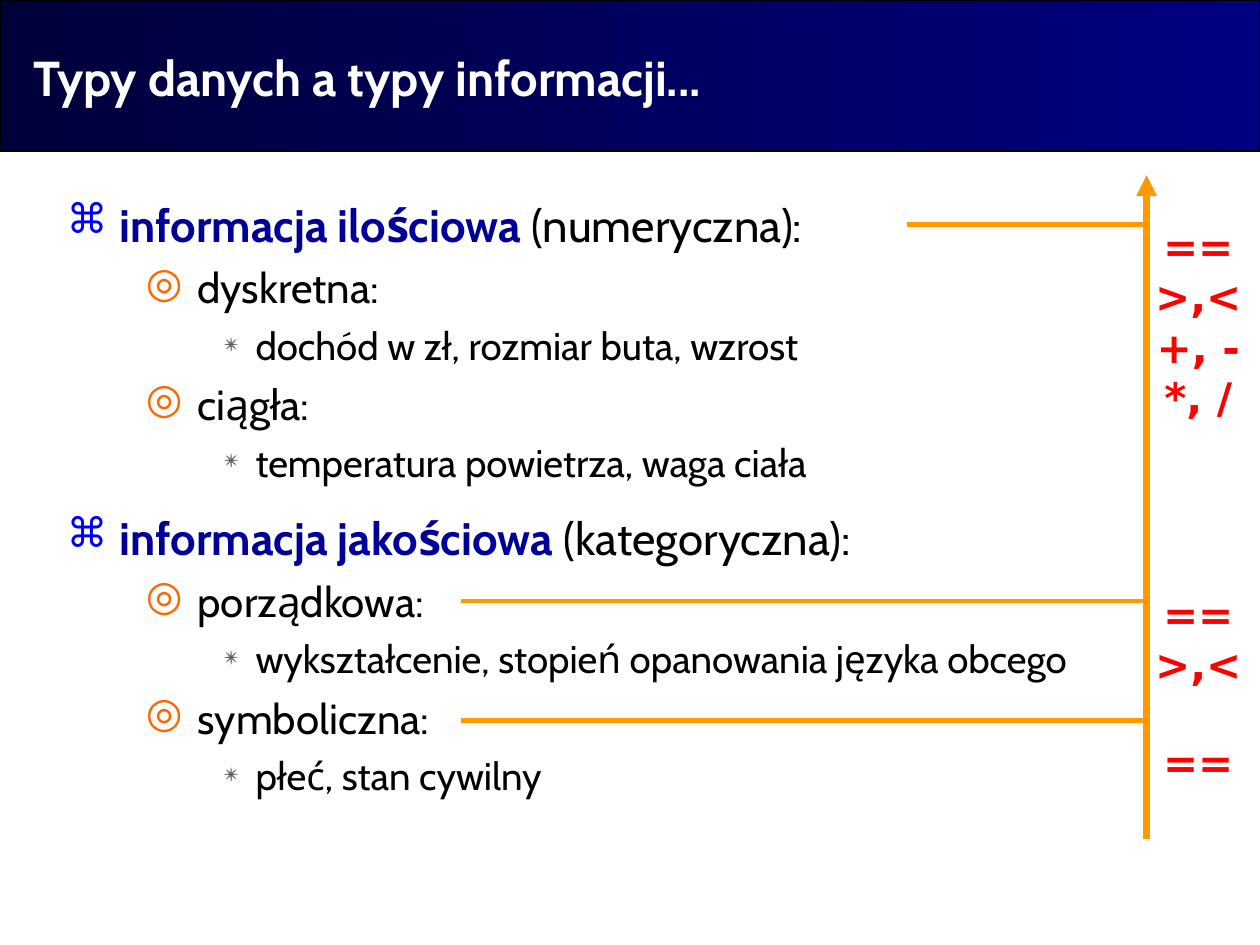
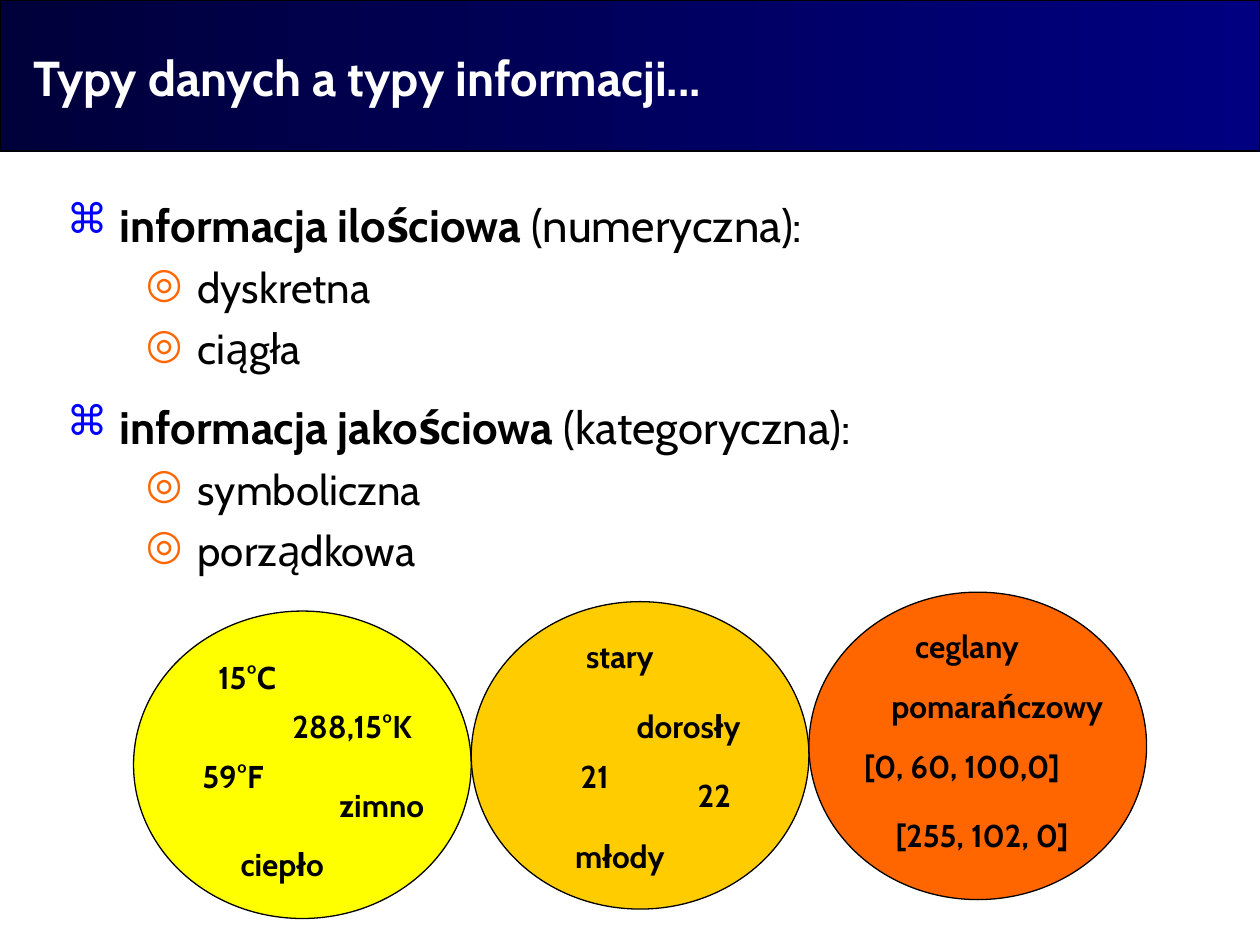
from dataclasses import dataclass

from lxml.etree import SubElement
from pptx import Presentation
from pptx.dml.color import RGBColor
from pptx.enum.shapes import MSO_CONNECTOR, MSO_SHAPE
from pptx.enum.text import MSO_ANCHOR, MSO_AUTO_SIZE, PP_ALIGN
from pptx.oxml.ns import qn
from pptx.util import Inches, Pt

COLUMNS, ROWS = 100, 75
TITLE = "Typy danych a typy informacji..."


@dataclass(frozen=True)
class Level:
    size: int
    left: float
    hanging: float
    before: float
    spacing: float
    bullet: str
    bullet_color: str
    bullet_percent: int


@dataclass(frozen=True)
class Theme:
    font: str = "Cabin"
    operator_font: str = "DejaVu Sans"
    white: str = "FFFFFF"
    black: str = "000000"
    band_start: str = "00003B"
    band_end: str = "000080"
    emphasis: str = "000099"
    axis: str = "FF9900"
    operator: str = "FF0000"
    yellow: str = "FFFF00"
    amber: str = "FFCC00"
    orange: str = "FF6600"
    title_size: int = 28
    operator_size: int = 24
    label_size: int = 18
    outline_width: float = 0.75
    axis_width: float = 4
    branch_width: float = 2.75
    levels: tuple = (
        Level(26, 4.2, 4.2, 11.4, 1.1, "⌘", "0000FF", 90),
        Level(24, 10.4, 4.1, 6, 1, "◎", "FF6600", 100),
        Level(22, 15, 2.5, 5.5, 1, "✴", "5F5F5F", 65),
    )


class Deck:
    def __init__(self, theme):
        self.theme = theme
        self.presentation = Presentation()
        self.presentation.slide_width = Inches(10)
        self.presentation.slide_height = Inches(7.5)
        self.slide = None

    def x(self, columns):
        return round(self.presentation.slide_width * columns / COLUMNS)

    def y(self, rows):
        return round(self.presentation.slide_height * rows / ROWS)

    def box(self, left, top, width, height):
        return self.x(left), self.y(top), self.x(width), self.y(height)

    def new_slide(self, title):
        self.slide = self.presentation.slides.add_slide(self.presentation.slide_layouts[6])
        band = self.shape(MSO_SHAPE.RECTANGLE, 0, 0, COLUMNS, 12)
        band.fill.gradient()
        band.fill.gradient_angle = 0
        ends = (self.theme.band_start, self.theme.band_end)
        for stop, color in zip(band.fill.gradient_stops, ends):
            stop.color.rgb = RGBColor.from_string(color)
        heading = self.text(title, 1.7, 3.2, 81.7, 5.7, self.theme.title_size,
                            self.theme.white, align=PP_ALIGN.LEFT)
        heading.vertical_anchor = MSO_ANCHOR.BOTTOM

    def shape(self, preset, left, top, width, height):
        shape = self.slide.shapes.add_shape(preset, *self.box(left, top, width, height))
        shape.shadow.inherit = False
        shape.line.color.rgb = RGBColor.from_string(self.theme.black)
        shape.line.width = Pt(self.theme.outline_width)
        return shape

    def circle(self, left, top, color):
        circle = self.shape(MSO_SHAPE.OVAL, left, top, 26.8, 24.4)
        circle.fill.solid()
        circle.fill.fore_color.rgb = RGBColor.from_string(color)

    def frame(self, left, top, width, height):
        frame = self.slide.shapes.add_textbox(*self.box(left, top, width, height)).text_frame
        frame.word_wrap = True
        return frame

    def style(self, run, size, color, bold, font=None):
        run.font.name = font or self.theme.font
        run.font.size = Pt(size)
        run.font.bold = bold
        run.font.color.rgb = RGBColor.from_string(color)

    def text(self, content, left, top, width, height, size, color,
             font=None, align=PP_ALIGN.CENTER):
        frame = self.frame(left, top, width, height)
        frame.auto_size = MSO_AUTO_SIZE.SHAPE_TO_FIT_TEXT
        frame.text = content
        for paragraph in frame.paragraphs:
            paragraph.alignment = align
            for run in paragraph.runs:
                self.style(run, size, color, True, font)
        return frame

    def label(self, content, left, top, width):
        self.text(content, left, top, width, 4, self.theme.label_size, self.theme.black)

    def operators(self, content, top, height):
        self.text(content, 90.2, top, 9.8, height, self.theme.operator_size,
                  self.theme.operator, self.theme.operator_font)

    def bullet(self, paragraph, level):
        properties = paragraph._p.get_or_add_pPr()
        properties.set("marL", str(self.x(level.left)))
        properties.set("indent", str(-self.x(level.hanging)))
        color = SubElement(properties, qn("a:buClr"))
        SubElement(color, qn("a:srgbClr"), val=level.bullet_color)
        SubElement(properties, qn("a:buSzPct"), val=str(level.bullet_percent * 1000))
        SubElement(properties, qn("a:buChar"), char=level.bullet)

    def outline(self, entries, topic_color):
        frame = self.frame(4.3, 14.7, 93.7, 52)
        for index, (depth, content, *qualifiers) in enumerate(entries):
            paragraph = frame.add_paragraph() if index else frame.paragraphs[0]
            level = self.theme.levels[depth]
            paragraph.text = content
            paragraph.level = depth
            self.bullet(paragraph, level)
            paragraph.line_spacing = level.spacing
            paragraph.space_before = Pt(level.before if index else 0)
            is_topic = depth == 0
            color = topic_color if is_topic else self.theme.black
            self.style(paragraph.runs[0], level.size, color, is_topic)
            for qualifier in qualifiers:
                run = paragraph.add_run()
                run.text = qualifier
                self.style(run, level.size, self.theme.black, False)

    def line(self, start, end, width, arrow=False):
        line = self.slide.shapes.add_connector(
            MSO_CONNECTOR.STRAIGHT, self.x(start[0]), self.y(start[1]),
            self.x(end[0]), self.y(end[1]))
        line.line.color.rgb = RGBColor.from_string(self.theme.axis)
        line.line.width = Pt(width)
        if arrow:
            SubElement(line.line._get_or_add_ln(), qn("a:tailEnd"), type="triangle")
        SubElement(line._element.spPr, qn("a:effectLst"))


def build_scale_slide(deck):
    theme = deck.theme
    deck.new_slide(TITLE)
    deck.outline([
        (0, "informacja ilościowa", " (numeryczna):"),
        (1, "dyskretna:"),
        (2, "dochód w zł, rozmiar buta, wzrost"),
        (1, "ciągła:"),
        (2, "temperatura powietrza, waga ciała"),
        (0, "informacja jakościowa", " (kategoryczna):"),
        (1, "porządkowa:"),
        (2, "wykształcenie, stopień opanowania języka obcego"),
        (1, "symboliczna:"),
        (2, "płeć, stan cywilny"),
    ], theme.emphasis)
    axis = 91
    deck.line((axis, 66.6), (axis, 13.9), theme.axis_width, arrow=True)
    for content, top, height in (("==", 58, 5), ("==\n>,<", 46.2, 9),
                                 ("==\n>,<\n+, -\n*, /", 17, 17)):
        deck.operators(content, top, height)
    for start, row in ((36.6, 57.2), (36.6, 47.7), (72, 17.8)):
        deck.line((start, row), (axis, row), theme.branch_width)


def build_examples_slide(deck):
    theme = deck.theme
    deck.new_slide(TITLE)
    deck.outline([
        (0, "informacja ilościowa", " (numeryczna):"),
        (1, "dyskretna"),
        (1, "ciągła"),
        (0, "informacja jakościowa", " (kategoryczna):"),
        (1, "symboliczna"),
        (1, "porządkowa"),
    ], theme.black)
    temperature = (("15°C", 14.5, 51.7, 10.2), ("59°F", 13, 59.6, 11),
                   ("288,15°K", 20.1, 55.6, 15.7), ("ciepło", 16.9, 66.6, 11),
                   ("zimno", 24.8, 61.9, 11))
    age = (("21", 42.1, 59.6, 10.2), ("dorosły", 47.6, 55.6, 14.1),
           ("22", 52.4, 61.1, 8.6), ("młody", 43.7, 65.9, 11),
           ("stary", 43.7, 50.1, 11))
    color = (("[255, 102, 0]", 68.1, 64.3, 19.7), ("ceglany", 69.7, 49.3, 14.1),
             ("pomarańczowy", 68.1, 54, 22.1), ("[0, 60, 100,0]", 66.5, 58.8, 19.7))
    groups = ((theme.yellow, temperature), (theme.amber, age), (theme.orange, color))
    for index, (fill, examples) in enumerate(groups):
        deck.circle(10.6 + 26.8 * index, 48.5 - 0.75 * index, fill)
        for example in examples:
            deck.label(*example)


def main():
    deck = Deck(Theme())
    build_scale_slide(deck)
    build_examples_slide(deck)
    deck.presentation.save("out.pptx")


if __name__ == "__main__":
    main()
